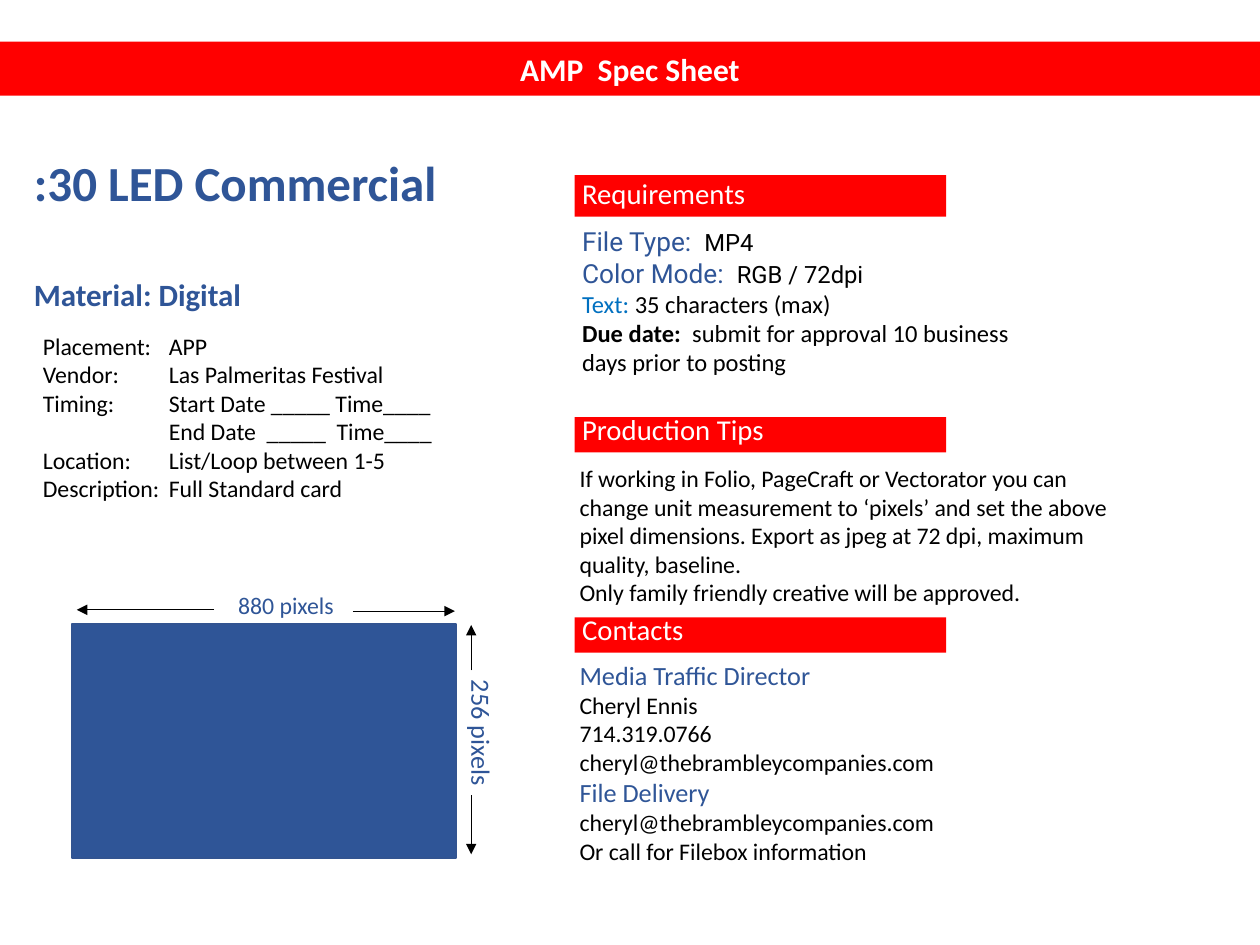
from lxml import etree
from pptx import Presentation
from pptx import util as u
from pptx.dml.color import RGBColor
from pptx.enum import shapes, text
from pptx.oxml import ns

RED, BLUE, SKY = "FF0000", "2F5597", "0070C0"
WHITE, BLACK = "FFFFFF", "000000"
BODY = 13.6


def color(hex_code):
    return RGBColor.from_string(hex_code)


def add_run(p, content, size=BODY, fill=BLACK, font="Calibri", bold=False):
    r = p.add_run()
    r.text = content
    r.font.size = u.Pt(size)
    r.font.name = font
    r.font.bold = bold
    r.font.color.rgb = color(fill)


def sub(parent, tag, **attrs):
    return etree.SubElement(parent, ns.qn(tag), attrs)


class Sheet:
    """The current slide and its style."""

    def __init__(self, slide):
        self.s = slide

    def rect(self, x, y, w, h, fill, line=None):
        sp = self.s.shapes.add_shape(
            shapes.MSO_SHAPE.RECTANGLE, *map(u.Inches, (x, y, w, h)))
        sp.shadow.inherit = False
        sp.fill.solid()
        sp.fill.fore_color.rgb = color(fill)
        if line:
            sp.line.color.rgb = color(line)
            sp.line.width = u.Pt(1)
        else:
            sp.line.fill.background()
        return sp

    def text(self, x, y, w, h, paragraphs, spacing=None, tab=None):
        """Each paragraph is a list of (text, format) runs."""
        sp = self.s.shapes.add_textbox(*map(u.Inches, (x, y, w, h)))
        tf = sp.text_frame
        tf.word_wrap = True
        tf.margin_left = tf.margin_right = tf.margin_top = 0
        tf.margin_bottom = u.Inches(0.05)
        for i, runs in enumerate(paragraphs):
            p = tf.add_paragraph() if i else tf.paragraphs[0]
            if spacing:
                p.line_spacing = u.Pt(spacing)
            if tab:
                tabs = sub(p._p.get_or_add_pPr(), "a:tabLst")
                sub(tabs, "a:tab", pos=str(u.Inches(tab)), algn="l")
            for content, style in runs:
                add_run(p, content, **style)
        return sp

    def header(self, label, y, h, text_y):
        self.rect(4.56, y, 2.95, h, RED)
        style = dict(size=16.4, fill=WHITE)
        self.text(4.62, text_y, 2, 0.2, [[(label, style)]], spacing=10.9)

    def arrow(self, x1, y1, x2, y2):
        c = self.s.shapes.add_connector(
            shapes.MSO_CONNECTOR.STRAIGHT, *map(u.Inches, (x1, y1, x2, y2)))
        c.line.color.rgb = color(BLACK)
        c.line.width = u.Pt(0.5)
        sub(c.line._get_or_add_ln(), "a:tailEnd", type="triangle")
        sub(c._element.spPr, "a:effectLst")


def lines(*rows):
    return [[(row, {})] for row in rows]


def main():
    prs = Presentation()
    prs.slide_width, prs.slide_height = u.Inches(10), u.Inches(7.5)
    sheet = Sheet(prs.slides.add_slide(prs.slide_layouts[6]))

    # Banner
    tf = sheet.rect(0, 0.33, 10, 0.43, RED).text_frame
    tf.vertical_anchor = text.MSO_ANCHOR.MIDDLE
    p = tf.paragraphs[0]
    p.alignment = text.PP_ALIGN.CENTER
    add_run(p, "AMP  Spec Sheet", size=18, fill=WHITE, bold=True)

    # Title and material
    heading = dict(fill=BLUE, bold=True)
    sp = sheet.text(0.27, 1.47, 4.8, 1.02, [
        [(":30 LED Commercial", dict(heading, size=28))],
        [("Material: Digital", dict(heading, size=17.7))]])
    title, material = sp.text_frame.paragraphs
    title.line_spacing = u.Pt(15)
    material.space_before = u.Pt(36.6)

    # Placement details
    sheet.text(0.34, 2.63, 3.39, 1.43, lines(
        "Placement:\tAPP",
        "Vendor:\tLas Palmeritas Festival",
        "Timing:\tStart Date _____ Time____",
        "\tEnd Date  _____  Time____",
        "Location:\tList/Loop between 1-5",
        "Description:\tFull Standard card"), tab=1)

    # Card with its dimensions
    sheet.rect(0.57, 4.95, 3.05, 1.86, BLUE, line="325491")
    sheet.arrow(1.7, 4.84, 0.61, 4.84)
    sheet.arrow(2.8, 4.85, 3.61, 4.85)
    sheet.arrow(3.74, 5.32, 3.74, 4.96)
    sheet.arrow(3.74, 6.31, 3.74, 6.78)
    sheet.text(1.89, 4.84, 0.85, 0.15,
               [[("880 pixels", dict(fill=BLUE))]], spacing=5.5)
    sp = sheet.text(3.22, 5.79, 0.95, 0.16,
                    [[("256 pixels", dict(size=15, fill=BLUE))]], spacing=5.5)
    sp.rotation = 90

    # Requirements
    label = dict(size=15, fill=BLUE)
    roboto = dict(font="Roboto")
    sheet.header("Requirements", 1.39, 0.33, 1.52)
    sheet.text(4.62, 1.79, 3.8, 1.49, [
        [("File Type:  ", label | roboto), ("MP4", roboto)],
        [("Color Mode:  ", label | roboto), ("RGB / 72dpi", roboto)],
        [("Text: ", dict(size=14, fill=SKY)),
         ("35 characters (max)", dict(size=14))],
        [("Due date:", dict(size=14, bold=True)),
         ("  submit for approval 10 business", dict(size=14))],
        [("days prior to posting", dict(size=14))]])

    # Production tips
    sheet.header("Production Tips", 3.31, 0.28, 3.39)
    sheet.text(4.6, 3.68, 4.6, 1.2, lines(
        "If working in Folio, PageCraft or Vectorator you can",
        "change unit measurement to ‘pixels’ and set the above",
        "pixel dimensions. Export as jpeg at 72 dpi, maximum",
        "quality, baseline.",
        "Only family friendly creative will be approved."))

    # Contacts
    email = "cheryl@thebrambleycompanies.com"
    sheet.header("Contacts", 4.9, 0.28, 4.98)
    sheet.text(4.6, 5.23, 5.3, 1.93, [
        [("Media Traffic Director", label)],
        *lines("Cheryl Ennis", "714.319.0766", email),
        [("File Delivery", label)],
        *lines(email, "Or call for Filebox information")])

    prs.save("out.pptx")


if __name__ == "__main__":
    main()
